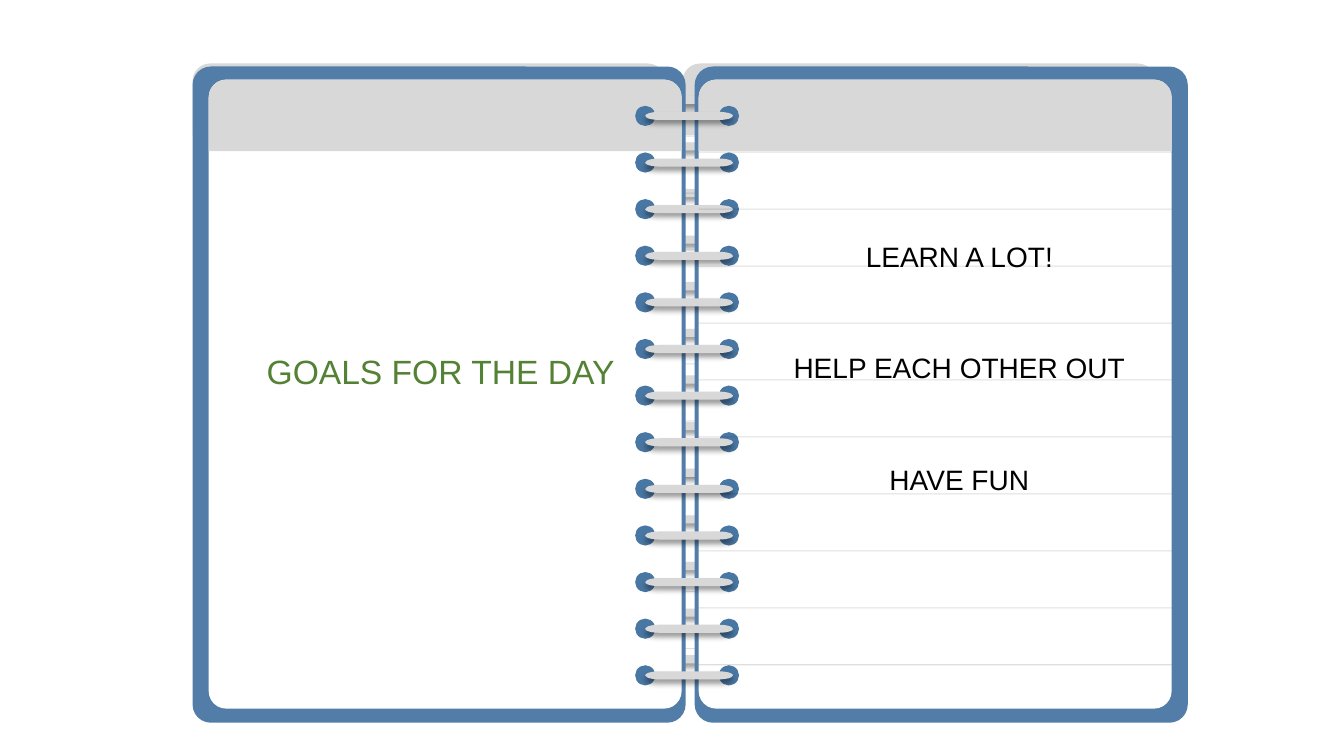
from lxml.etree import SubElement
from pptx import Presentation
from pptx.dml.color import RGBColor
from pptx.enum.shapes import MSO_CONNECTOR as LINE, MSO_SHAPE as SHAPE
from pptx.enum.text import MSO_ANCHOR as ANCHOR, PP_ALIGN as ALIGN
from pptx.oxml.ns import qn
from pptx.util import Inches, Pt

TITLE = "GOALS FOR THE DAY"
GOALS = ["LEARN A LOT!", "HELP EACH OTHER OUT", "HAVE FUN"]
COLOURS = {"cover": "527DA8", "hole": "4977A3", "grey": "D8D8D8",
           "paper": "FFFFFF", "title": "548235", "ink": "000000"}
FONT = "Arial"

COVER_LEFTS, COVER_TOP, COVER_SIZE = (1.91, 6.89), 0.66, (4.89, 6.51)
SHEET_LEFTS, SHEET_TOP, SHEET_SIZE = (2.07, 6.93), 0.79, (4.69, 6.24)
BAND_HEIGHT, CORNER = 0.71, 0.037
RING_COUNT, RING_TOP, RING_PITCH = 13, 1.11, 0.4625
RING_LEFT, RING_SIZE = 6.4, (0.87, 0.08)
HOLE_LEFTS, HOLE_SIZE = (6.3, 7.13), 0.2
RULE_COUNT, RULE_TOP, RULE_PITCH = 10, 1.51, 0.565
BACK_SHIFT = -0.16


def rgb(name):
    return RGBColor.from_string(COLOURS[name])


def add_block(shapes, kind, left, top, width, height, colour, corner=None):
    block = shapes.add_shape(kind, Inches(left), Inches(top), Inches(width), Inches(height))
    block.shadow.inherit = False
    block.fill.solid()
    block.fill.fore_color.rgb = rgb(colour)
    block.line.fill.background()
    if corner is not None:
        block.adjustments[0] = corner
    return block


def add_alpha(colour_element, percent):
    SubElement(colour_element, qn("a:alpha"), val=str(percent * 1000))


def add_ring_shadow(ring):
    effects = ring._element.spPr.find(qn("a:effectLst"))
    shadow = SubElement(effects, qn("a:outerShdw"), blurRad=str(Pt(4)), dist=str(Pt(3)),
                        dir="5400000", algn="t", rotWithShape="0")
    add_alpha(SubElement(shadow, qn("a:srgbClr"), val=COLOURS["ink"]), 40)


def add_bands(shapes, shift):
    for left in SHEET_LEFTS:
        add_block(shapes, SHAPE.ROUND_2_SAME_RECTANGLE, left + shift, SHEET_TOP + shift,
                  SHEET_SIZE[0], BAND_HEIGHT, "grey", CORNER * SHEET_SIZE[0] / BAND_HEIGHT)


def add_rings(shapes, shift, with_holes):
    group = shapes.add_group_shape().shapes
    for index in range(RING_COUNT):
        top = RING_TOP + shift + index * RING_PITCH
        if with_holes:
            for left in HOLE_LEFTS:
                add_block(group, SHAPE.OVAL, left, top + (RING_SIZE[1] - HOLE_SIZE) / 2,
                          HOLE_SIZE, HOLE_SIZE, "hole")
        add_ring_shadow(add_block(group, SHAPE.FLOWCHART_TERMINATOR, RING_LEFT + shift, top,
                                  *RING_SIZE, "grey"))


def add_rules(shapes, shift):
    group = shapes.add_group_shape().shapes
    left = SHEET_LEFTS[1] + shift
    for index in range(RULE_COUNT):
        top = Inches(RULE_TOP + shift + index * RULE_PITCH)
        rule = group.add_connector(LINE.STRAIGHT, Inches(left), top,
                                   Inches(left + SHEET_SIZE[0]), top)
        rule.line.width = Pt(0.75)
        rule.line.color.rgb = rgb("ink")
        add_alpha(next(rule._element.spPr.iter(qn("a:srgbClr"))), 13)
        SubElement(rule._element.spPr, qn("a:effectLst"))


def add_sheet(shapes, left, shift):
    add_block(shapes, SHAPE.ROUNDED_RECTANGLE, left + shift, SHEET_TOP + shift,
              *SHEET_SIZE, "paper", CORNER)


def add_span(para, text, size, colour):
    para.alignment = ALIGN.CENTER
    span = para.add_run()
    span.text = text
    span.font.name = FONT
    span.font.size = Pt(size)
    span.font.color.rgb = rgb(colour)


def add_title(page):
    title = page.shapes.title
    title.left, title.top = Inches(2.45), Inches(3.43)
    title.width, title.height = Inches(3.84), Inches(0.5)
    frame = title.text_frame
    frame.word_wrap = True
    frame.vertical_anchor = ANCHOR.TOP
    add_span(frame.paragraphs[0], TITLE, 24, "title")
    page.shapes._spTree.append(title._element)


def add_goals(page):
    box = page.shapes.add_textbox(Inches(7.53), Inches(2.1), Inches(3.97), Inches(2.83))
    frame = box.text_frame
    frame.word_wrap = True
    for index, goal in enumerate(GOALS):
        para = frame.add_paragraph() if index else frame.paragraphs[0]
        para.line_spacing = Pt(40)
        para.space_before = Pt(40 if index else 0)
        add_span(para, goal, 20, "ink")


def main():
    deck = Presentation()
    deck.slide_width, deck.slide_height = Inches(13.33), Inches(7.5)
    page = deck.slides.add_slide(deck.slide_layouts[5])
    shapes = page.shapes
    add_sheet(shapes, SHEET_LEFTS[1], BACK_SHIFT)
    add_bands(shapes, BACK_SHIFT)
    add_rings(shapes, BACK_SHIFT, False)
    add_rules(shapes, BACK_SHIFT)
    for left in COVER_LEFTS:
        add_block(shapes, SHAPE.ROUNDED_RECTANGLE, left, COVER_TOP, *COVER_SIZE, "cover", CORNER)
    for left in SHEET_LEFTS:
        add_sheet(shapes, left, 0)
    add_bands(shapes, 0)
    add_rings(shapes, 0, True)
    add_rules(shapes, 0)
    add_title(page)
    add_goals(page)
    deck.save("out.pptx")


if __name__ == "__main__":
    main()
